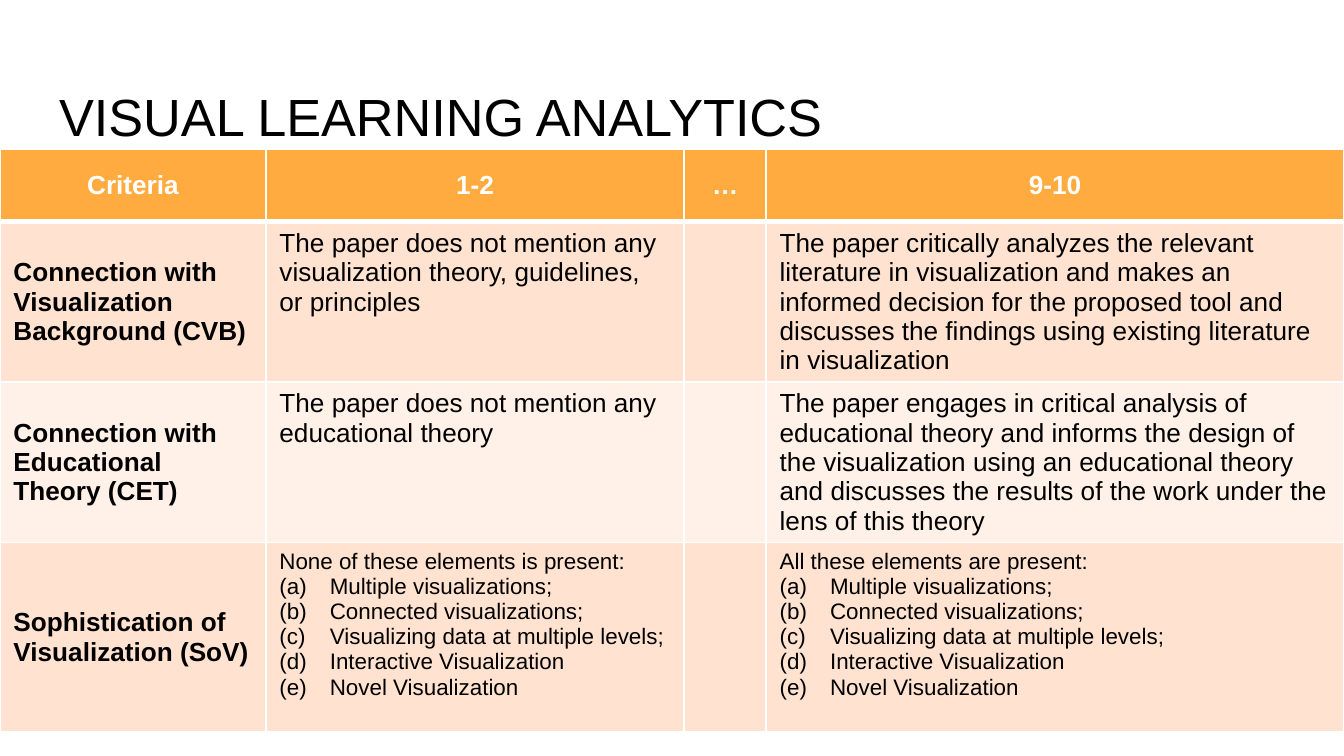
from dataclasses import dataclass

from lxml.etree import SubElement
from pptx import Presentation
from pptx.dml.color import RGBColor
from pptx.enum.text import MSO_ANCHOR, MSO_AUTO_SIZE, PP_ALIGN
from pptx.oxml.ns import qn
from pptx.util import Pt


@dataclass(frozen=True)
class Theme:
    font: str = "Arial"
    title_size: int = 28
    cell_size: int = 14
    list_size: int = 12
    text: str = "000000"
    white: str = "FFFFFF"
    header: str = "FFAB40"
    bands: tuple = ("FFE2CF", "FFF1E8")


THEME = Theme()

TITLE_BOX = (24.5, 35.3, 671, 45.4)
TABLE_BOX = (0, 80, 720, 301.8)
COLUMN_WIDTHS = (142.5, 224, 44, 309.5)
ROW_HEIGHTS = (38.9, 80, 81.4, 101.5)

ELEMENTS = [
    "Multiple visualizations;",
    "Connected visualizations;",
    "Visualizing data at multiple levels;",
    "Interactive Visualization",
    "Novel Visualization",
]
HEADER = ("Criteria", "1-2", "…", "9-10")
CRITERIA = [
    (
        "Connection with Visualization Background (CVB)",
        "The paper does not mention any visualization theory, guidelines, or principles",
        "",
        "The paper critically analyzes the relevant literature in visualization and makes "
        "an informed decision for the proposed tool and discusses the findings using "
        "existing literature in visualization",
    ),
    (
        "Connection with Educational Theory (CET)",
        "The paper does not mention any educational theory",
        "",
        "The paper engages in critical analysis of educational theory and informs the "
        "design of the visualization using an educational theory and discusses the "
        "results of the work under the lens of this theory",
    ),
    (
        "Sophistication of Visualization (SoV)",
        ["None of these elements is present:", *ELEMENTS],
        "",
        ["All these elements are present:", *ELEMENTS],
    ),
]


def set_font(paragraph, size, color, bold=False):
    font = paragraph.font
    font.name = THEME.font
    font.size = Pt(size)
    font.bold = bold
    font.color.rgb = RGBColor.from_string(color)


def number_with_letters(paragraph):
    properties = paragraph._p.get_or_add_pPr()
    properties.set("marL", str(Pt(27)))
    properties.set("indent", str(Pt(-27)))
    SubElement(properties, qn("a:buFont"), typeface=THEME.font)
    SubElement(properties, qn("a:buAutoNum"), type="alphaLcParenBoth")


def set_borders(cell, bottom_width):
    properties = cell._tc.get_or_add_tcPr()
    for side, width in (("L", 1), ("R", 1), ("T", 1), ("B", bottom_width)):
        line = SubElement(properties, qn(f"a:ln{side}"), w=str(Pt(width)))
        fill = SubElement(line, qn("a:solidFill"))
        SubElement(fill, qn("a:srgbClr"), val=THEME.white)


def style_cell(cell, color, bottom_width=1):
    set_borders(cell, bottom_width)
    cell.fill.solid()
    cell.fill.fore_color.rgb = RGBColor.from_string(color)


def fill_header_cell(cell, text):
    style_cell(cell, THEME.header, bottom_width=3)
    cell.vertical_anchor = MSO_ANCHOR.MIDDLE
    cell.text = text
    paragraph = cell.text_frame.paragraphs[0]
    paragraph.alignment = PP_ALIGN.CENTER
    set_font(paragraph, THEME.cell_size, THEME.white, bold=True)


def fill_body_cell(cell, content, color, is_criterion):
    """Write a plain text, or a list whose first item introduces lettered ones."""
    style_cell(cell, color)
    cell.vertical_anchor = MSO_ANCHOR.MIDDLE if is_criterion else MSO_ANCHOR.TOP
    has_list = isinstance(content, list)
    cell.text = "\n".join(content) if has_list else content
    size = THEME.list_size if has_list else THEME.cell_size
    for index, paragraph in enumerate(cell.text_frame.paragraphs):
        if index:
            number_with_letters(paragraph)
        set_font(paragraph, size, THEME.text, bold=is_criterion)


def add_title(slide, box):
    title = slide.shapes.title
    title.left, title.top, title.width, title.height = map(Pt, box)
    frame = title.text_frame
    frame.text = "VISUAL LEARNING ANALYTICS"
    frame.auto_size = MSO_AUTO_SIZE.NONE
    frame.word_wrap = True
    frame.vertical_anchor = MSO_ANCHOR.TOP
    frame.margin_left = frame.margin_right = Pt(7.2)
    frame.margin_top, frame.margin_bottom = Pt(10), Pt(4)
    paragraph = frame.paragraphs[0]
    paragraph.alignment = PP_ALIGN.LEFT
    set_font(paragraph, THEME.title_size, THEME.text)


def add_rubric(slide, box):
    table = slide.shapes.add_table(
        len(ROW_HEIGHTS), len(COLUMN_WIDTHS), *map(Pt, box)
    ).table
    for column, width in zip(table.columns, COLUMN_WIDTHS):
        column.width = Pt(width)
    for row, height in zip(table.rows, ROW_HEIGHTS):
        row.height = Pt(height)
    for column, text in enumerate(HEADER):
        fill_header_cell(table.cell(0, column), text)
    for row, contents in enumerate(CRITERIA):
        color = THEME.bands[row % 2]
        for column, content in enumerate(contents):
            fill_body_cell(table.cell(row + 1, column), content, color, column == 0)


def main():
    presentation = Presentation()
    presentation.slide_width, presentation.slide_height = Pt(720), Pt(405)
    slide = presentation.slides.add_slide(presentation.slide_layouts[5])
    add_title(slide, TITLE_BOX)
    add_rubric(slide, TABLE_BOX)
    presentation.save("out.pptx")


if __name__ == "__main__":
    main()
